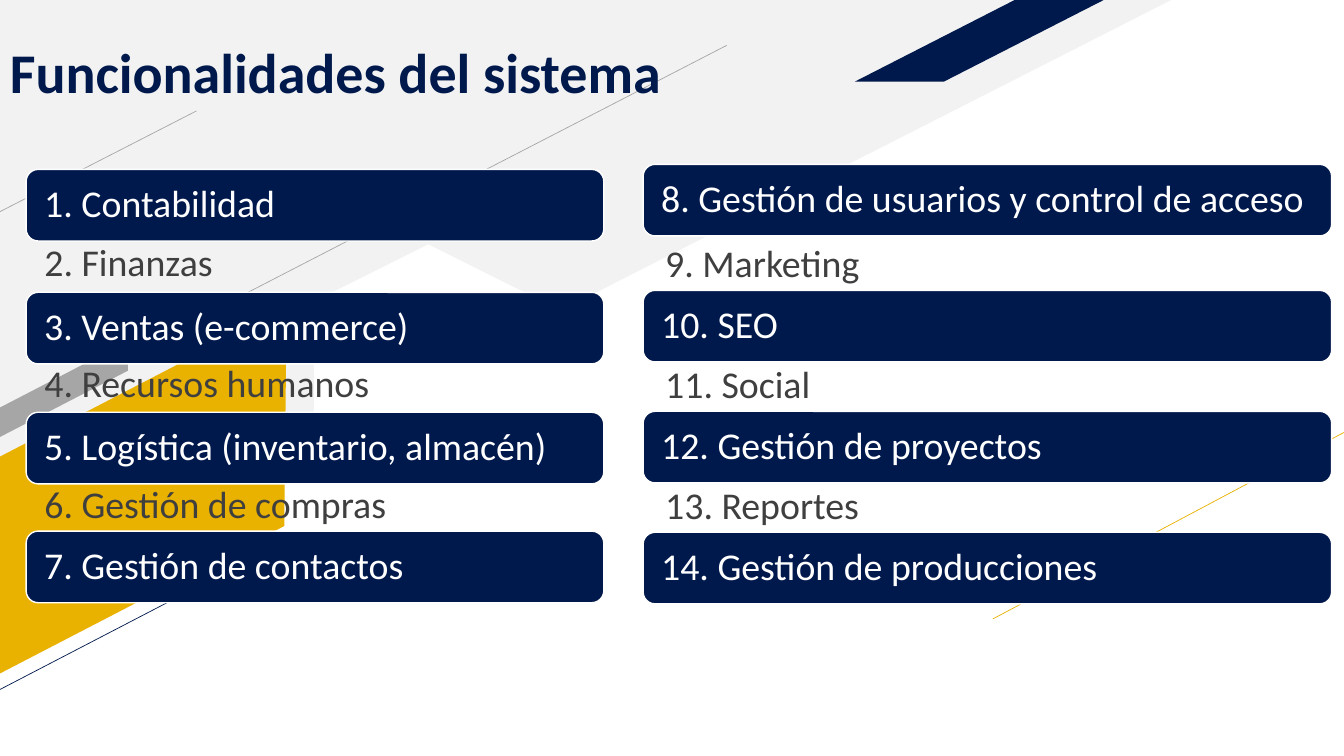
from lxml.etree import SubElement
from pptx import Presentation
from pptx.dml.color import RGBColor
from pptx.enum.shapes import MSO_CONNECTOR, MSO_SHAPE
from pptx.enum.text import MSO_ANCHOR, PP_ALIGN
from pptx.oxml.ns import qn
from pptx.util import Pt

COLORS = {
    "navy": "00194C",
    "gold": "EAB200",
    "gray": "A6A6A6",
    "pale": "F2F2F2",
    "white": "FFFFFF",
    "text": "3F3F3F",
}
BAR_HEIGHT = 51.1
PLAIN_HEIGHT = 35.3
PLAIN_STEP = 86.4

LEFT_ITEMS = [
    "1. Contabilidad",
    "2. Finanzas",
    "3. Ventas (e-commerce)",
    "4. Recursos humanos",
    "5. Logística (inventario, almacén)",
    "6. Gestión de compras",
    "7. Gestión de contactos",
]
RIGHT_ITEMS = [
    "8. Gestión de usuarios y control de acceso",
    "9. Marketing",
    "10. SEO",
    "11. Social",
    "12. Gestión de proyectos",
    "13. Reportes",
    "14. Gestión de producciones",
]


def rgb(name):
    """Return the named colour."""
    return RGBColor.from_string(COLORS[name])


def add_block(slide, kind, box, color, rotation=0, adj=None):
    """Add a filled preset shape without outline or shadow."""
    sp = slide.shapes.add_shape(kind, *map(Pt, box))
    sp.shadow.inherit = False
    sp.fill.solid()
    sp.fill.fore_color.rgb = rgb(color)
    sp.line.fill.background()
    sp.rotation = rotation
    if adj is not None:
        sp.adjustments[0] = adj
    return sp


def add_line(slide, start, end, color):
    """Add a thin straight line."""
    line = slide.shapes.add_connector(MSO_CONNECTOR.STRAIGHT, *map(Pt, start + end))
    line.line.color.rgb = rgb(color)
    line.line.width = Pt(0.5)
    SubElement(line._element.spPr, qn("a:effectLst"))


def set_text(sp, text, size, color, insets, anchor, bold=False):
    """Write one left-aligned paragraph into a shape."""
    tf = sp.text_frame
    tf.word_wrap = True
    tf.vertical_anchor = anchor
    tf.margin_left, tf.margin_top, tf.margin_right, tf.margin_bottom = map(Pt, insets)
    p = tf.paragraphs[0]
    p.text = text
    p.alignment = PP_ALIGN.LEFT
    p.line_spacing = 0.9
    p.font.name = "Calibri"
    p.font.size = Pt(size)
    p.font.bold = bold
    p.font.color.rgb = rgb(color)


def add_bar(slide, left, top, width, text):
    """Add a navy rounded bar with white text."""
    sp = add_block(slide, MSO_SHAPE.ROUNDED_RECTANGLE, (left, top, width, BAR_HEIGHT), "navy")
    sp.line.color.rgb = rgb("white")
    sp.line.width = Pt(1)
    set_text(sp, text, 27, "white", (10.4, 8, 8, 8), MSO_ANCHOR.MIDDLE)


def add_label(slide, box, text, size, color, insets, anchor, bold=False):
    """Add a text box."""
    sp = slide.shapes.add_textbox(*map(Pt, box))
    set_text(sp, text, size, color, insets, anchor, bold)


def add_column(slide, left, width, bar_tops, plain_top, inset, items):
    """Add a list that alternates bars and plain lines."""
    for top, text in zip(bar_tops, items[::2]):
        add_bar(slide, left, top, width, text)
    for i, text in enumerate(items[1::2]):
        box = (left, plain_top + i * PLAIN_STEP, width, PLAIN_HEIGHT)
        add_label(slide, box, text, 27, "text", (inset, 3, 15, 3), MSO_ANCHOR.TOP)


def add_background(slide):
    """Add the diagonal decoration behind the lists."""
    corner = add_block(slide, MSO_SHAPE.RIGHT_TRIANGLE, (0, 0, 836.6, 425.5), "pale")
    corner._element.spPr.get_or_add_xfrm().set("flipV", "1")
    slanted = MSO_SHAPE.PARALLELOGRAM
    add_block(slide, slanted, (-50.4, 282.2, 303.8, 137.5), "gold", 332.6, 0.532)
    add_line(slide, (0, 151.2), (140.4, 79.2), "gray")
    add_line(slide, (709.2, 442.1), (960, 308.9), "gold")
    add_block(slide, slanted, (610.6, 0, 177.8, 58.3), "navy", adj=1.958)
    add_line(slide, (0, 300.2), (519.1, 32.4), "gray")
    add_line(slide, (-1.4, 493.2), (149.8, 414.7), "navy")
    add_block(slide, slanted, (-10.8, 268.6, 113, 18.7), "gray", 332.6, 0.532)
    add_block(slide, MSO_SHAPE.HEXAGON, (211, 187.9, 190.1, 163.4), "white", 270)


def main():
    """Build the slide and save it."""
    prs = Presentation()
    prs.slide_width, prs.slide_height = Pt(960), Pt(540)
    slide = prs.slides.add_slide(prs.slide_layouts[6])
    add_background(slide)
    add_label(slide, (0, 0, 576, 75.6), "Funcionalidades del sistema", 40, "navy",
              (7.2, 3.6, 7.2, 0), MSO_ANCHOR.BOTTOM, bold=True)
    add_column(slide, 18.7, 412.6, (121, 208.8, 294.5, 379.4), 171.4, 13, LEFT_ITEMS)
    add_column(slide, 459.4, 491.8, (117.4, 207.4, 293.8, 380.2), 172.1, 15.8, RIGHT_ITEMS)
    prs.save("out.pptx")


if __name__ == "__main__":
    main()
